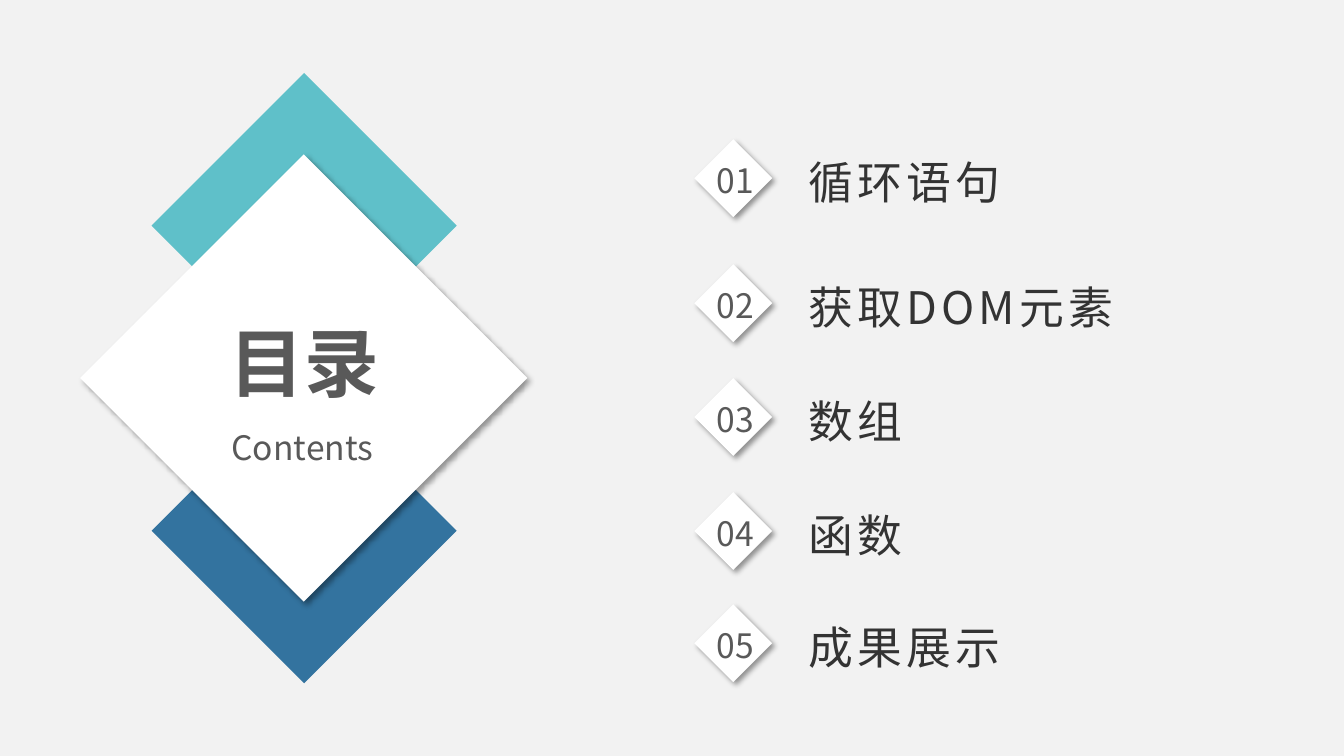
"""Build a contents slide with stacked diamonds and five numbered topics."""
from dataclasses import dataclass

from lxml.etree import SubElement
from pptx import Presentation
from pptx.dml.color import RGBColor
from pptx.enum.shapes import MSO_SHAPE
from pptx.enum.text import MSO_ANCHOR as Anchor, MSO_AUTO_SIZE as AutoSize, PP_ALIGN as Align
from pptx.oxml.ns import qn
from pptx.shapes.autoshape import Shape
from pptx.shapes.shapetree import GroupShapes
from pptx.util import Cm, Pt

COLORS = {
    "background": "F2F2F2",
    "teal": "5FC0C9",
    "blue": "33739F",
    "white": "FFFFFF",
    "shadow": "000000",
    "heading": "595959",
    "topic": "333333",
}
FONT = "Noto Sans CJK SC"
BADGE_LEFT, BADGE_SIZE = 17.5, 1.96


@dataclass(frozen=True)
class Diamond:
    left: float
    top: float
    size: float
    color: str
    shadow: bool = False


@dataclass(frozen=True)
class Style:
    size: float
    color: str = "heading"
    bold: bool = False
    spacing: int = 0
    align: Align = Align.CENTER


@dataclass(frozen=True)
class Topic:
    top: float
    text: str


DIAMONDS = [
    Diamond(3.82, 1.84, 7.69, "teal"),
    Diamond(3.82, 9.53, 7.69, "blue"),
    Diamond(2.02, 3.89, 11.27, "white", shadow=True),
]
TOPICS = [
    Topic(3.51, "循环语句"),
    Topic(6.66, "获取DOM元素"),
    Topic(9.53, "数组"),
    Topic(12.4, "函数"),
    Topic(15.23, "成果展示"),
]
TITLE = Style(53.4, bold=True)
LABEL = Style(24)
TOPIC = Style(32, "topic", spacing=300, align=Align.LEFT)


def rgb(name: str) -> RGBColor:
    """Return a colour from the palette."""
    return RGBColor.from_string(COLORS[name])


def add_diamond(shapes: GroupShapes, d: Diamond) -> None:
    """Draw a diamond, with a soft shadow if it asks for one."""
    sp = shapes.add_shape(MSO_SHAPE.DIAMOND, Cm(d.left), Cm(d.top), Cm(d.size), Cm(d.size))
    sp.fill.solid()
    sp.fill.fore_color.rgb = rgb(d.color)
    sp.line.fill.background()
    sp.shadow.inherit = False
    if d.shadow:
        effects = sp.element.spPr.find(qn("a:effectLst"))
        outer = SubElement(effects, qn("a:outerShdw"), blurRad=str(Pt(4)), dist=str(Pt(3)),
                           dir="2700000", algn="tl", rotWithShape="0")
        color = SubElement(outer, qn("a:srgbClr"), val=COLORS["shadow"])
        SubElement(color, qn("a:alpha"), val="40000")


def write(sp: Shape, text: str, style: Style) -> None:
    """Put one styled run into a wrapped, top-anchored shape."""
    tf = sp.text_frame
    tf.word_wrap = True
    tf.auto_size = AutoSize.NONE
    tf.vertical_anchor = Anchor.TOP
    p = tf.paragraphs[0]
    p.alignment = style.align
    r = p.add_run()
    r.text = text
    r.font.size = Pt(style.size)
    r.font.bold = style.bold
    r.font.color.rgb = rgb(style.color)
    r.font.name = FONT
    props = r.font._element
    SubElement(props, qn("a:ea"), typeface=FONT)
    if style.spacing:
        props.set("spc", str(style.spacing))


def add_text(shapes: GroupShapes, left: float, top: float, width: float, height: float,
             text: str, style: Style) -> Shape:
    """Add a text box given in centimetres."""
    sp = shapes.add_textbox(Cm(left), Cm(top), Cm(width), Cm(height))
    write(sp, text, style)
    return sp


def add_topic(shapes: GroupShapes, number: int, topic: Topic) -> None:
    """Draw a numbered badge with its topic."""
    add_diamond(shapes, Diamond(BADGE_LEFT, topic.top, BADGE_SIZE, "white", shadow=True))
    add_text(shapes, 17.6, topic.top + 0.4, 1.88, 0.97, f"{number:02}", LABEL)
    sp = add_text(shapes, 20.12, topic.top + 0.27, 13.16, 1.62, topic.text, TOPIC)
    sp.text_frame.auto_size = AutoSize.SHAPE_TO_FIT_TEXT


def main() -> None:
    """Build and save the slide."""
    prs = Presentation()
    prs.slide_width, prs.slide_height = Cm(33.87), Cm(19.05)
    s = prs.slides.add_slide(prs.slide_layouts[5])
    s.background.fill.solid()
    s.background.fill.fore_color.rgb = rgb("background")

    emblem = s.shapes.add_group_shape().shapes
    for diamond in DIAMONDS:
        add_diamond(emblem, diamond)
    subtitle = add_text(emblem, 4.47, 9.98, 6.3, 1.8, "Contents", LABEL)
    tf = subtitle.text_frame
    tf.vertical_anchor = Anchor.BOTTOM
    tf.margin_left = tf.margin_right = tf.margin_top = tf.margin_bottom = 0

    title = s.shapes.title
    title.left, title.top, title.width, title.height = Cm(4.52), Cm(7.85), Cm(6.3), Cm(3.23)
    write(title, "目录", TITLE)
    s.shapes.element.append(title.element)

    for number, topic in enumerate(TOPICS, 1):
        add_topic(s.shapes.add_group_shape().shapes, number, topic)
    prs.save("out.pptx")


if __name__ == "__main__":
    main()
